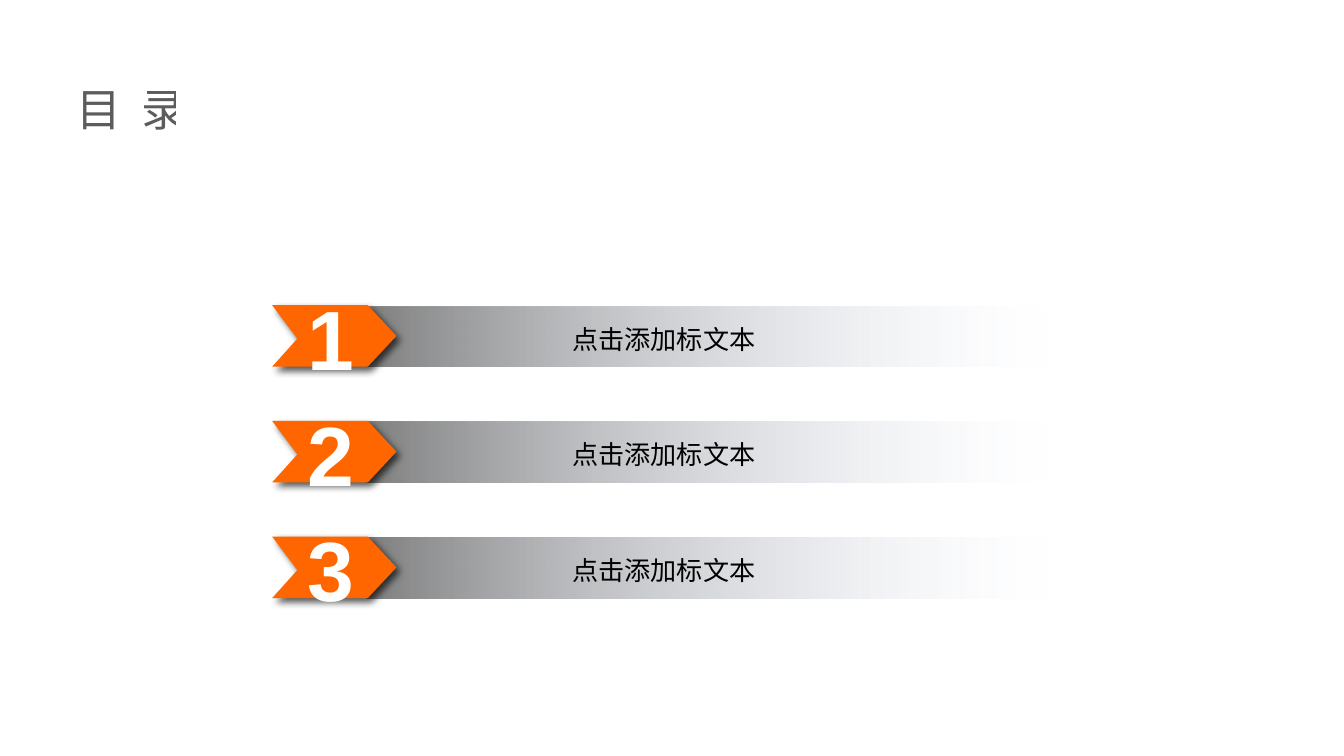
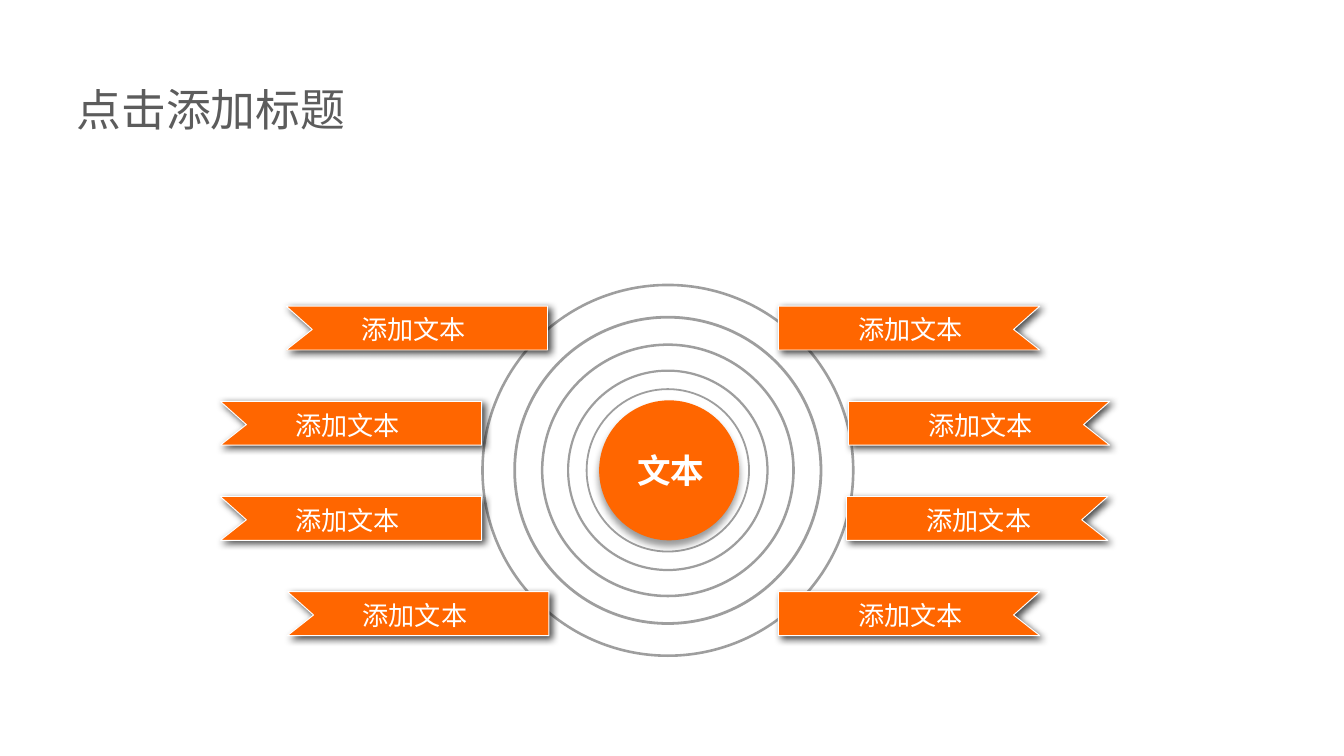
from dataclasses import dataclass
from typing import Optional

from lxml.etree import SubElement
from pptx import Presentation
from pptx.dml.color import RGBColor
from pptx.enum.shapes import MSO_SHAPE as Preset
from pptx.enum.text import MSO_ANCHOR as Anchor, MSO_AUTO_SIZE as AutoSize, PP_ALIGN as Align
from pptx.oxml.ns import qn
from pptx.util import Pt

ORANGE = RGBColor(0xFF, 0x66, 0x00)
GREY = RGBColor(0x80, 0x80, 0x80)
PALE_BLUE = RGBColor(0xE1, 0xE8, 0xF5)
BLACK = RGBColor(0, 0, 0)
WHITE = RGBColor(0xFF, 0xFF, 0xFF)

CJK_FONT = "Noto Sans CJK SC"
LATIN_FONT = "Arial"
TITLE_ONLY = 5

AGENDA = ["点击添加标文本"] * 3
AGENDA_TOP, AGENDA_PITCH = 163.5, 62
FLAG_TOP, FLAG_PITCH = 164, 51
FLAG_WIDTH, FLAG_HEIGHT, FLAG_NOTCH = 140, 23.5, 14
RING_CENTER = (357.8, 252)


@dataclass(frozen=True)
class TextStyle:
    size: float
    color: RGBColor
    font: str = CJK_FONT
    bold: bool = False
    opacity: int = 100


@dataclass(frozen=True)
class Shadow:
    opacity: int
    distance: float
    angle: int
    blur: float = 4


@dataclass(frozen=True)
class Ring:
    diameter: float
    thickness: float
    opacity: int = 76


@dataclass(frozen=True)
class Flag:
    row: int
    left: float
    notch_on_right: bool
    text: str = "添加文本"


TITLE_STYLE = TextStyle(24, BLACK, opacity=63)
AGENDA_STYLE = TextStyle(14, BLACK)
NUMBER_STYLE = TextStyle(45, WHITE, LATIN_FONT, bold=True)
FLAG_STYLE = TextStyle(14, WHITE)
HUB_STYLE = TextStyle(18, WHITE, bold=True)

ARROW_SHADOW = Shadow(66, 3, 45)
FLAG_SHADOW = Shadow(71, 2, 45)
HUB_SHADOW = Shadow(40, 3, 90)

RINGS = [
    Ring(73, 0.011, 100), Ring(88, 0.011), Ring(108, 0.011),
    Ring(136, 0.01), Ring(165.6, 0.009), Ring(200, 0.007),
]
FLAGS = [
    *(Flag(row, left, True) for row, left in enumerate((417, 454.5, 453.5, 417))),
    *(Flag(row, left, False) for row, left in enumerate((153.3, 118, 118, 154))),
]


def set_opacity(color_parent, percent: int) -> None:
    """Apply an opacity to the last RGB colour below an XML element."""
    if percent < 100:
        color = color_parent.findall(".//" + qn("a:srgbClr"))[-1]
        SubElement(color, qn("a:alpha"), val=str(percent * 1000))


def set_shadow(shape, shadow: Optional[Shadow]) -> None:
    shape.shadow.inherit = False
    if shadow is None:
        return
    outer = SubElement(
        shape._element.spPr.find(qn("a:effectLst")), qn("a:outerShdw"),
        blurRad=str(Pt(shadow.blur)), dist=str(Pt(shadow.distance)),
        dir=str(shadow.angle * 60000), algn="ctr", rotWithShape="0",
    )
    SubElement(outer, qn("a:srgbClr"), val=str(BLACK))
    set_opacity(outer, shadow.opacity)


def write_text(shape, text: str, style: TextStyle, wrap: bool = True,
               align: Align = Align.LEFT) -> None:
    frame = shape.text_frame
    frame.text = text
    frame.word_wrap = wrap
    frame.auto_size = AutoSize.NONE
    frame.vertical_anchor = Anchor.MIDDLE
    paragraph = frame.paragraphs[0]
    paragraph.alignment = align
    font = paragraph.font
    font.name, font.size, font.bold = style.font, Pt(style.size), style.bold
    font.color.rgb = style.color
    properties = paragraph._p.pPr.find(qn("a:defRPr"))
    set_opacity(properties, style.opacity)
    SubElement(properties, qn("a:ea"), typeface=style.font)


def add_label(slide, left: float, top: float, width: float, height: float,
              text: str, style: TextStyle, wrap: bool = True,
              align: Align = Align.LEFT) -> None:
    box = slide.shapes.add_textbox(Pt(left), Pt(top), Pt(width), Pt(height))
    write_text(box, text, style, wrap, align)


def add_preset(slide, preset: Preset, left: float, top: float, width: float, height: float):
    shape = slide.shapes.add_shape(preset, Pt(left), Pt(top), Pt(width), Pt(height))
    shape.line.fill.background()
    set_shadow(shape, None)
    return shape


def add_outline(slide, points: list[tuple[float, float]], shadow: Shadow):
    """Draw an orange polygon with a shadow."""
    start, *rest = [(Pt(x), Pt(y)) for x, y in points]
    builder = slide.shapes.build_freeform(*start)
    builder.add_line_segments(rest, close=True)
    shape = builder.convert_to_shape()
    shape.fill.solid()
    shape.fill.fore_color.rgb = ORANGE
    shape.line.fill.background()
    set_shadow(shape, shadow)
    return shape


def add_titled_slide(deck, title: str, width: float):
    slide = deck.slides.add_slide(deck.slide_layouts[TITLE_ONLY])
    heading = slide.shapes.title
    heading.left, heading.top = Pt(33.8), Pt(40.3)
    heading.width, heading.height = Pt(width), Pt(36)
    write_text(heading, title, TITLE_STYLE, wrap=False)
    return slide


def add_agenda_bar(slide, top: float, text: str) -> None:
    bar = add_preset(slide, Preset.RECTANGLE, 196.5, top + 0.5, 368, 32.5)
    bar.fill.gradient()
    bar.fill.gradient_angle = 0
    start, end = bar.fill.gradient_stops
    start.color.rgb, end.color.rgb = GREY, PALE_BLUE
    start.position, end.position = 0, 0.99
    set_opacity(bar._element.spPr.find(qn("a:gradFill")), 0)
    add_label(slide, 299.5, top + 5.7, 136, 24.5, text, AGENDA_STYLE)


def add_number_arrow(slide, top: float, number: int) -> None:
    left, shoulder, tip, bottom = 145.8, 197, 212.4, top + 33
    add_outline(slide, [
        (left, top), (shoulder, top), (tip, top + 16.5),
        (shoulder, bottom), (left, bottom), (left + 13.5, top + 18),
    ], ARROW_SHADOW)
    add_label(slide, 157, top - 14, 40.3, 62, str(number), NUMBER_STYLE, align=Align.CENTER)


def add_ring(slide, ring: Ring) -> None:
    left, top = (center - ring.diameter / 2 for center in RING_CENTER)
    donut = add_preset(slide, Preset.DONUT, left, top, ring.diameter, ring.diameter)
    donut.adjustments[0] = ring.thickness
    donut.fill.solid()
    donut.fill.fore_color.rgb = GREY
    set_opacity(donut._element.spPr, ring.opacity)


def add_hub(slide, text: str) -> None:
    hub = add_preset(slide, Preset.OVAL, 321, 214.5, 75, 75)
    hub.fill.solid()
    hub.fill.fore_color.rgb = ORANGE
    set_shadow(hub, HUB_SHADOW)
    add_label(slide, 334.2, 237.6, 57.6, 28.8, text, HUB_STYLE)


def add_flag(slide, flag: Flag) -> None:
    top = FLAG_TOP + flag.row * FLAG_PITCH
    bottom = top + FLAG_HEIGHT
    right = flag.left + FLAG_WIDTH
    if flag.notch_on_right:
        straight, notched, notch, text_offset = flag.left, right, right - FLAG_NOTCH, 35.8
    else:
        straight, notched, notch, text_offset = right, flag.left, flag.left + FLAG_NOTCH, 33.2
    ribbon = add_outline(slide, [
        (straight, top), (notched, top), (notch, top + 12.5),
        (notched, bottom), (straight, bottom),
    ], FLAG_SHADOW)
    ribbon.line.color.rgb = WHITE
    ribbon.line.width = Pt(0.5)
    add_label(slide, flag.left + text_offset, top + 0.3, 71.3, 24.5,
              flag.text, FLAG_STYLE, wrap=False)


def build_agenda(deck) -> None:
    slide = add_titled_slide(deck, "目 录", 77)
    heading_run = slide.shapes.title.text_frame.paragraphs[0].runs[0]
    heading_run._r.get_or_add_rPr().set("spc", "270")
    tops = [AGENDA_TOP + row * AGENDA_PITCH for row in range(len(AGENDA))]
    for top, text in zip(tops, AGENDA):
        add_agenda_bar(slide, top, text)
    for number, top in enumerate(tops, start=1):
        add_number_arrow(slide, top, number)


def build_ring_diagram(deck) -> None:
    slide = add_titled_slide(deck, "点击添加标题", 160)
    for ring in RINGS:
        add_ring(slide, ring)
    add_hub(slide, "文本")
    for flag in FLAGS:
        add_flag(slide, flag)


def main() -> None:
    deck = Presentation()
    deck.slide_width, deck.slide_height = Pt(720), Pt(405)
    build_agenda(deck)
    build_ring_diagram(deck)
    deck.save("out.pptx")


if __name__ == "__main__":
    main()
